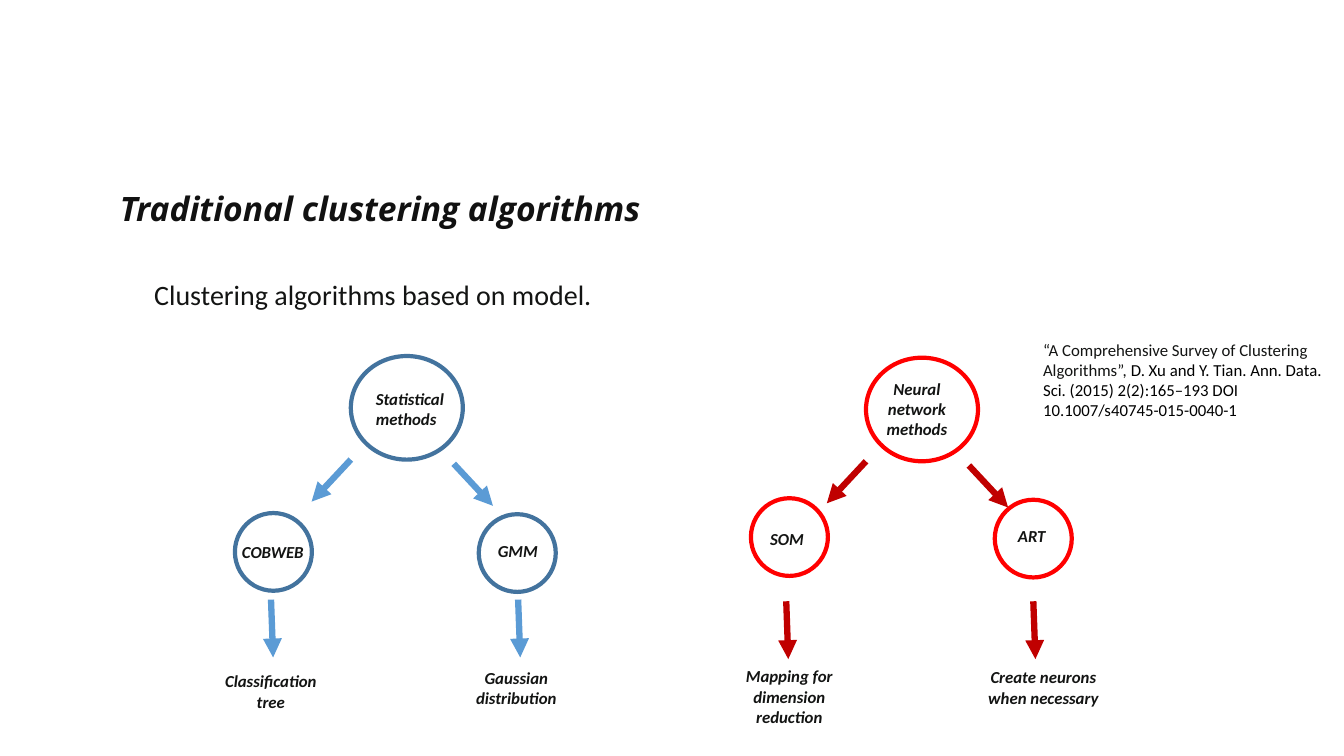
from lxml.etree import SubElement
from pptx import Presentation
from pptx.dml.color import RGBColor
from pptx.enum.shapes import MSO_CONNECTOR, MSO_SHAPE
from pptx.enum.text import MSO_ANCHOR, PP_ALIGN
from pptx.oxml.ns import qn
from pptx.util import Pt

COLOURS = {
    "title": "111111", "text": "131413", "black": "000000",
    "blue ring": "43739E", "blue arrow": "5B9BD5",
    "red ring": "FF0000", "red arrow": "C00000",
}


def colour(name):
    return RGBColor.from_string(COLOURS[name])


def write(box, paragraphs, size=12, font="Calibri", bold=True, italic=True,
          align=PP_ALIGN.LEFT):
    frame = box.text_frame
    frame.word_wrap = True
    frame.vertical_anchor = MSO_ANCHOR.TOP
    for index, spans in enumerate(paragraphs):
        para = frame.add_paragraph() if index else frame.paragraphs[0]
        para.alignment = align
        for text, shade in spans:
            span = para.add_run()
            span.text = text
            span.font.size = Pt(size)
            span.font.name = font
            span.font.bold = bold
            span.font.italic = italic
            span.font.color.rgb = colour(shade)


deck = Presentation()
deck.slide_width, deck.slide_height = Pt(960), Pt(540)
page = deck.slides.add_slide(deck.slide_layouts[5])

title = page.shapes.title
title.left, title.top, title.width, title.height = Pt(78.5), Pt(130.3), Pt(697), Pt(36)
write(title, [[("Traditional clustering algorithms", "title")]], size=24, font="Open Sans")

subtitle = page.shapes.add_textbox(Pt(103), Pt(195), Pt(718), Pt(32))
write(subtitle, [[("Clustering algorithms based on model.", "text")]],
      size=20, bold=False, italic=False)

citation = page.shapes.add_textbox(Pt(738), Pt(239), Pt(227.5), Pt(80))
write(citation, [[
    ("“A Comprehensive Survey of Clustering Algorithms”,", "text"),
    (" D. Xu and Y. Tian. Ann. Data. Sci. (2015) 2(2):165–193 DOI 10.1007/s40745-015-0040-1", "black"),
]], bold=False, italic=False)

ROOT_SIZE = (80, 74)
LEAF_SIZE = (55, 55.5)
ARROWS = [
    (0, 74, -28, 104),
    (73.5, 77, 101.5, 107),
    (-57, 174, -55.5, 215.3),
    (119.5, 174, 121, 215.3),
]
trees = [
    ("blue", 250.6, 254.3, [(167.8, 366.5), (342, 367.3)]),
    ("red", 618.6, 255.5, [(536.4, 355.9), (710.6, 357)]),
]
for hue, left, top, leaves in trees:
    circles = [(left, top, *ROOT_SIZE)] + [(*leaf, *LEAF_SIZE) for leaf in leaves]
    for place in circles:
        ring = page.shapes.add_shape(MSO_SHAPE.OVAL, *map(Pt, place))
        ring.shadow.inherit = False
        ring.fill.background()
        ring.line.color.rgb = colour(f"{hue} ring")
        ring.line.width = Pt(3)
    for x1, y1, x2, y2 in ARROWS:
        arrow = page.shapes.add_connector(
            MSO_CONNECTOR.STRAIGHT, Pt(left + x1), Pt(top + y1), Pt(left + x2), Pt(top + y2))
        arrow.line.color.rgb = colour(f"{hue} arrow")
        arrow.line.width = Pt(4.5)
        SubElement(arrow.line._get_or_add_ln(), qn("a:tailEnd"), type="triangle")
        SubElement(arrow._element.spPr, qn("a:effectLst"))

labels = [
    (["Statistical methods"], 261.4, 274.3, 77, 36, PP_ALIGN.LEFT),
    (["Neural network", "methods"], 625.5, 267, 59, 51, PP_ALIGN.CENTER),
    (["COBWEB"], 165.8, 383.3, 77, 22, PP_ALIGN.LEFT),
    (["GMM"], 348.5, 382.8, 77, 22, PP_ALIGN.LEFT),
    (["SOM"], 543, 374, 77, 22, PP_ALIGN.LEFT),
    (["ART"], 720, 371.7, 77, 22, PP_ALIGN.LEFT),
    (["Classification tree"], 147.5, 475.9, 92, 36, PP_ALIGN.CENTER),
    (["Gaussian distribution"], 322.8, 473.4, 92, 36, PP_ALIGN.CENTER),
    (["Mapping for dimension reduction"], 516.3, 472.3, 95, 51, PP_ALIGN.CENTER),
    (["Create neurons when necessary"], 697.8, 473, 95, 36, PP_ALIGN.CENTER),
]
for lines, left, top, width, height, align in labels:
    label = page.shapes.add_textbox(Pt(left), Pt(top), Pt(width), Pt(height))
    write(label, [[(line, "text")] for line in lines], align=align)

deck.save("out.pptx")
